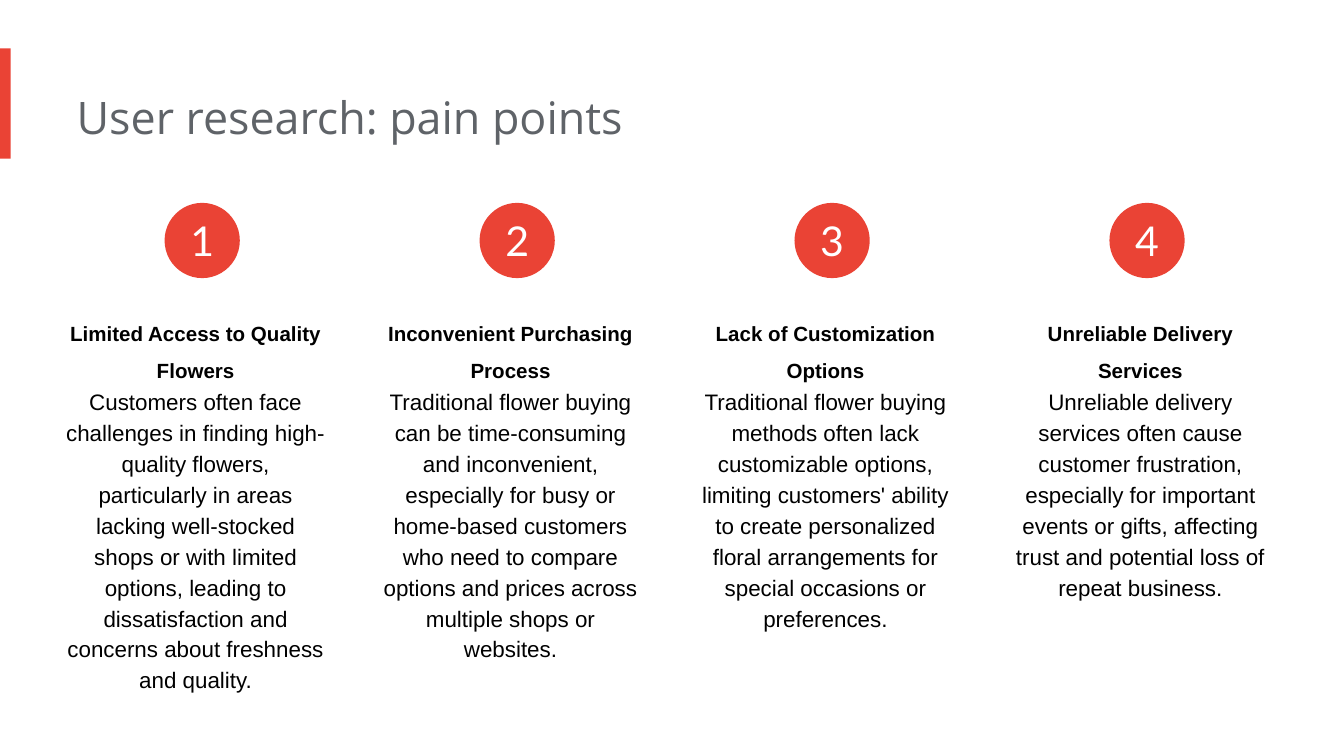
import pptx
import pptx.util
import pptx.dml.color
import pptx.enum.shapes
import pptx.enum.text

Inches = pptx.util.Inches
Pt = pptx.util.Pt
RGBColor = pptx.dml.color.RGBColor
MSO_SHAPE = pptx.enum.shapes.MSO_SHAPE
PP_ALIGN = pptx.enum.text.PP_ALIGN
MSO_ANCHOR = pptx.enum.text.MSO_ANCHOR
MSO_AUTO_SIZE = pptx.enum.text.MSO_AUTO_SIZE

RED = RGBColor(0xEA, 0x43, 0x35)
GREY = RGBColor(0x5F, 0x63, 0x68)
BLACK = RGBColor(0, 0, 0)
WHITE = RGBColor(0xFF, 0xFF, 0xFF)

SLIDE_WIDTH = 10
SLIDE_HEIGHT = SLIDE_WIDTH * 9 / 16

# Heading, description, lines of description the box allows for
PAIN_POINTS = [
    ("Limited Access to Quality Flowers",
     "Customers often face challenges in finding high-quality flowers, "
     "particularly in areas lacking well-stocked shops or with limited options, "
     "leading to dissatisfaction and concerns about freshness and quality.", 9),
    ("Inconvenient Purchasing Process",
     "Traditional flower buying can be time-consuming and inconvenient, "
     "especially for busy or home-based customers who need to compare options "
     "and prices across multiple shops or websites.", 9),
    ("Lack of Customization Options",
     "Traditional flower buying methods often lack customizable options, "
     "limiting customers' ability to create personalized floral arrangements "
     "for special occasions or preferences.", 8),
    ("Unreliable Delivery Services",
     "Unreliable delivery services often cause customer frustration, "
     "especially for important events or gifts, affecting trust and potential "
     "loss of repeat business.", 7),
]


def write(shape, text, font, size, color, align=PP_ALIGN.CENTER, bold=False,
          spacing=1.0):
    """Fill a shape with one paragraph in a top-anchored, growing frame."""
    frame = shape.text_frame
    frame.text = text
    frame.word_wrap = True
    frame.auto_size = MSO_AUTO_SIZE.SHAPE_TO_FIT_TEXT
    frame.vertical_anchor = MSO_ANCHOR.TOP
    frame.margin_left = 0
    frame.margin_top = frame.margin_right = frame.margin_bottom = Inches(0.1)
    paragraph = frame.paragraphs[0]
    paragraph.alignment = align
    paragraph.line_spacing = spacing
    run_font = paragraph.runs[0].font
    run_font.name = font
    run_font.size = Pt(size)
    run_font.bold = bold
    run_font.color.rgb = color


def add_red_shape(slide, kind, left, top, width, height):
    shape = slide.shapes.add_shape(
        kind, Inches(left), Inches(top), Inches(width), Inches(height))
    shape.shadow.inherit = False
    shape.fill.solid()
    shape.fill.fore_color.rgb = RED
    shape.line.fill.background()
    return shape


def add_header(slide, left, top, width, height):
    # Accent bar at the slide edge
    add_red_shape(slide, MSO_SHAPE.RECTANGLE, left, top, 0.08, height)
    # Title
    title = slide.shapes.title
    title.left, title.top = Inches(left + 0.57), Inches(top + 0.21)
    title.width, title.height = Inches(width - 0.57), Inches(0.61)
    write(title, "User research: pain points", "Open Sans", 24, GREY,
          align=PP_ALIGN.LEFT)


def add_pain_point(slide, number, heading, description, lines, left, top, width):
    # Heading
    heading_box = slide.shapes.add_textbox(
        Inches(left), Inches(top + 0.69), Inches(width), Inches(0.76))
    write(heading_box, heading, "Arial", 11, BLACK, bold=True, spacing=1.5)

    # Description
    description_box = slide.shapes.add_textbox(
        Inches(left), Inches(top + 1.25), Inches(width),
        Inches(0.22 + 0.23 * lines))
    write(description_box, description, "Arial", 12, BLACK, spacing=1.15)

    # Numbered circle, centred over the column
    diameter = 0.56
    badge = add_red_shape(slide, MSO_SHAPE.OVAL, left + (width - diameter) / 2,
                          top, diameter, diameter)
    write(badge, str(number), "Lato", 22, WHITE)
    frame = badge.text_frame
    frame.auto_size = MSO_AUTO_SIZE.NONE
    frame.vertical_anchor = MSO_ANCHOR.MIDDLE
    frame.margin_top = frame.margin_right = frame.margin_bottom = 0


def add_pain_points(slide, left, top, width):
    column_width = 2.05
    pitch = (width - column_width) / (len(PAIN_POINTS) - 1)
    for index, (heading, description, lines) in enumerate(PAIN_POINTS):
        add_pain_point(slide, index + 1, heading, description, lines,
                       left + index * pitch, top, column_width)


def main():
    deck = pptx.Presentation()
    deck.slide_width = Inches(SLIDE_WIDTH)
    deck.slide_height = Inches(SLIDE_HEIGHT)
    slide = deck.slides.add_slide(deck.slide_layouts[5])
    add_header(slide, 0, 0.36, 7.3, 0.82)
    add_pain_points(slide, 0.48, 1.51, 9.08)
    deck.save("out.pptx")


if __name__ == "__main__":
    main()
